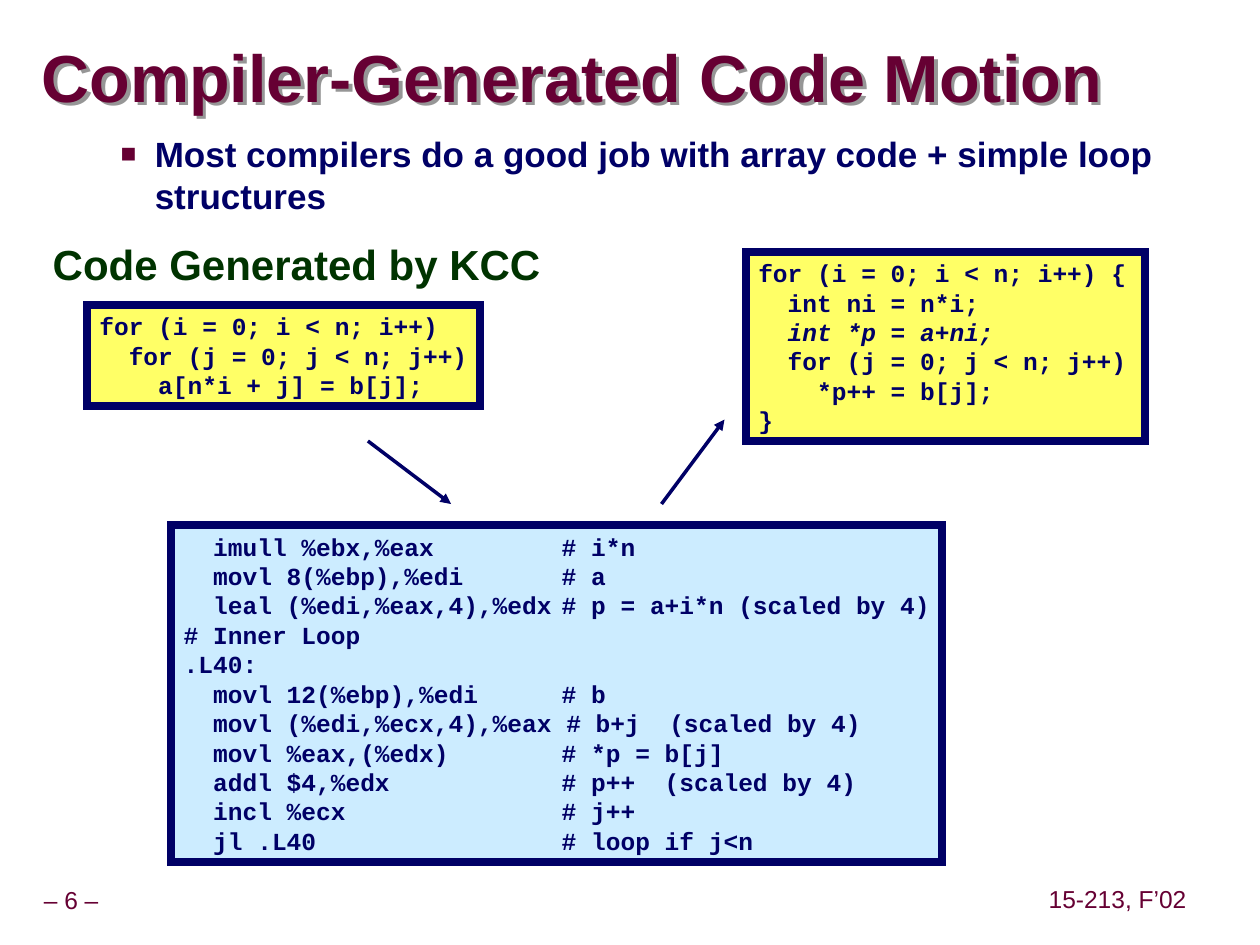
import pptx
import pptx.util
import pptx.dml.color
import pptx.enum.shapes
import pptx.enum.text
import pptx.oxml
import pptx.oxml.ns
from pptx.util import Inches

COLORS = {"maroon": "660033", "navy": "000066", "green": "003300",
          "yellow": "FFFF66", "blue": "CCECFF", "gray": "969696"}

TITLE = "Compiler-Generated Code Motion"
BULLET = "Most compilers do a good job with array code + simple loop structures"
HEADING = "Code Generated by KCC"
FOOTERS = [("– 6 –", (-0.09, 7, 1.31, 0.31)),
           ("15-213, F’02", (8.27, 6.99, 1.2, 0.31))]

SOURCE = ["for (i = 0; i < n; i++)",
          "  for (j = 0; j < n; j++)",
          "    a[n*i + j] = b[j];"]
ASSEMBLY = ["  imull %ebx,%eax\t# i*n",
            "  movl 8(%ebp),%edi\t# a",
            "  leal (%edi,%eax,4),%edx\t# p = a+i*n (scaled by 4)",
            "# Inner Loop",
            ".L40:",
            "  movl 12(%ebp),%edi\t# b",
            "  movl (%edi,%ecx,4),%eax # b+j  (scaled by 4)",
            "  movl %eax,(%edx)\t# *p = b[j]",
            "  addl $4,%edx\t# p++  (scaled by 4)",
            "  incl %ecx\t# j++",
            "  jl .L40\t# loop if j<n"]
RESULT = ["for (i = 0; i < n; i++) {",
          "  int ni = n*i;",
          "  int *p = a+ni;",
          "  for (j = 0; j < n; j++)",
          "    *p++ = b[j];",
          "}"]
ITALIC_LINES = {"  int *p = a+ni;"}
CODE_BOXES = [(SOURCE, (0.69, 2.42, 3.12, 0.8), "yellow"),
              (ASSEMBLY, (1.36, 4.17, 6.12, 2.67), "blue"),
              (RESULT, (5.92, 2, 3.17, 1.5), "yellow")]
ARROWS = [((2.92, 3.5), (3.58, 4)), ((5.25, 4), (5.75, 3.33))]
COMMENT_TAB = 3


def rgb(name):
    return pptx.dml.color.RGBColor.from_string(COLORS[name])


def xml(body):
    tag, rest = body[1:].split(" ", 1)
    return pptx.oxml.parse_xml(f"<{tag} {pptx.oxml.ns.nsdecls('a')} {rest}")


def place(sp, box):
    sp.left, sp.top, sp.width, sp.height = map(Inches, box)


def frame(sp, inset=(0.1, 0.05), anchor="TOP", wrap=True):
    tf = sp.text_frame
    tf.auto_size = pptx.enum.text.MSO_AUTO_SIZE.NONE
    tf.word_wrap = wrap
    tf.margin_left = tf.margin_right = Inches(inset[0])
    tf.margin_top = tf.margin_bottom = Inches(inset[1])
    tf.vertical_anchor = pptx.enum.text.MSO_ANCHOR[anchor]
    return tf


def write(p, text, size, color, font="Arial", bold=True, italic=False,
          align="LEFT", spacing=None, before=0):
    p.alignment = pptx.enum.text.PP_ALIGN[align]
    p.line_spacing = spacing
    p.space_before = pptx.util.Pt(before)
    r = p.add_run()
    r.text = text
    r.font.size = pptx.util.Pt(size)
    r.font.name = font
    r.font.bold = bold
    r.font.italic = italic
    r.font.color.rgb = rgb(color)


def add_title(s):
    sp = s.shapes.title
    place(sp, (0.33, 0.33, 8.74, 0.63))
    sp.fill.background()
    sp._element.spPr.append(xml(
        '<a:effectLst ><a:outerShdw dist="35921" dir="2700000" algn="ctr" rotWithShape="0">'
        f'<a:srgbClr val="{COLORS["gray"]}"/></a:outerShdw></a:effectLst>'))
    tf = frame(sp, inset=(0, 0), anchor="MIDDLE")
    write(tf.paragraphs[0], TITLE, 38, "maroon", spacing=0.87)


def add_body(s):
    tf = frame(s.shapes.add_textbox(*map(Inches, (0.32, 1, 9.09, 2.15))))
    p = tf.paragraphs[0]
    write(p, BULLET, 20, "navy", spacing=pptx.util.Pt(24), before=6.2)
    pPr = p._p.get_or_add_pPr()
    pPr.set("marL", str(Inches(0.81)))
    pPr.set("indent", str(Inches(-0.27)))
    pPr.append(xml(f'<a:buClr ><a:srgbClr val="{COLORS["maroon"]}"/></a:buClr>'))
    pPr.append(xml('<a:buSzPct val="75000"/>'))
    pPr.append(xml('<a:buFont typeface="Arial"/>'))
    pPr.append(xml('<a:buChar char="■"/>'))
    write(tf.add_paragraph(), HEADING, 24, "green", spacing=0.95, before=15)


def add_code(s, lines, box, fill):
    sp = s.shapes.add_shape(pptx.enum.shapes.MSO_SHAPE.RECTANGLE, *map(Inches, box))
    sp.shadow.inherit = False
    sp.fill.solid()
    sp.fill.fore_color.rgb = rgb(fill)
    sp.line.color.rgb = rgb("navy")
    sp.line.width = pptx.util.Pt(4.5)
    sp.line._get_or_add_ln().append(xml('<a:miter lim="800000"/>'))
    tf = frame(sp, wrap=False)
    for i, line in enumerate(lines):
        p = tf.add_paragraph() if i else tf.paragraphs[0]
        write(p, line, 14, "navy", font="Courier New",
              italic=line in ITALIC_LINES, spacing=pptx.util.Pt(16.8))
        if "\t" in line:
            p._p.get_or_add_pPr().append(xml(
                f'<a:tabLst ><a:tab pos="{Inches(COMMENT_TAB)}" algn="l"/></a:tabLst>'))


def add_arrow(s, start, end):
    line = s.shapes.add_connector(pptx.enum.shapes.MSO_CONNECTOR.STRAIGHT,
                                  *map(Inches, start + end))
    line.line.color.rgb = rgb("navy")
    line.line.width = pptx.util.Pt(2)
    line.line._get_or_add_ln().append(xml('<a:tailEnd type="triangle"/>'))
    line._element.spPr.append(xml("<a:effectLst />"))


def main():
    prs = pptx.Presentation()
    prs.slide_width, prs.slide_height = Inches(10), Inches(7.5)
    s = prs.slides.add_slide(prs.slide_layouts[5])
    add_title(s)
    add_body(s)
    for lines, box, fill in CODE_BOXES:
        add_code(s, lines, box, fill)
    for start, end in ARROWS:
        add_arrow(s, start, end)
    for text, box in FOOTERS:
        tf = frame(s.shapes.add_textbox(*map(Inches, box)), inset=(0.05, 0.05),
                   anchor="MIDDLE", wrap=False)
        write(tf.paragraphs[0], text, 14, "maroon", bold=False,
              align="CENTER", spacing=0.9)
    prs.save("out.pptx")


if __name__ == "__main__":
    main()
